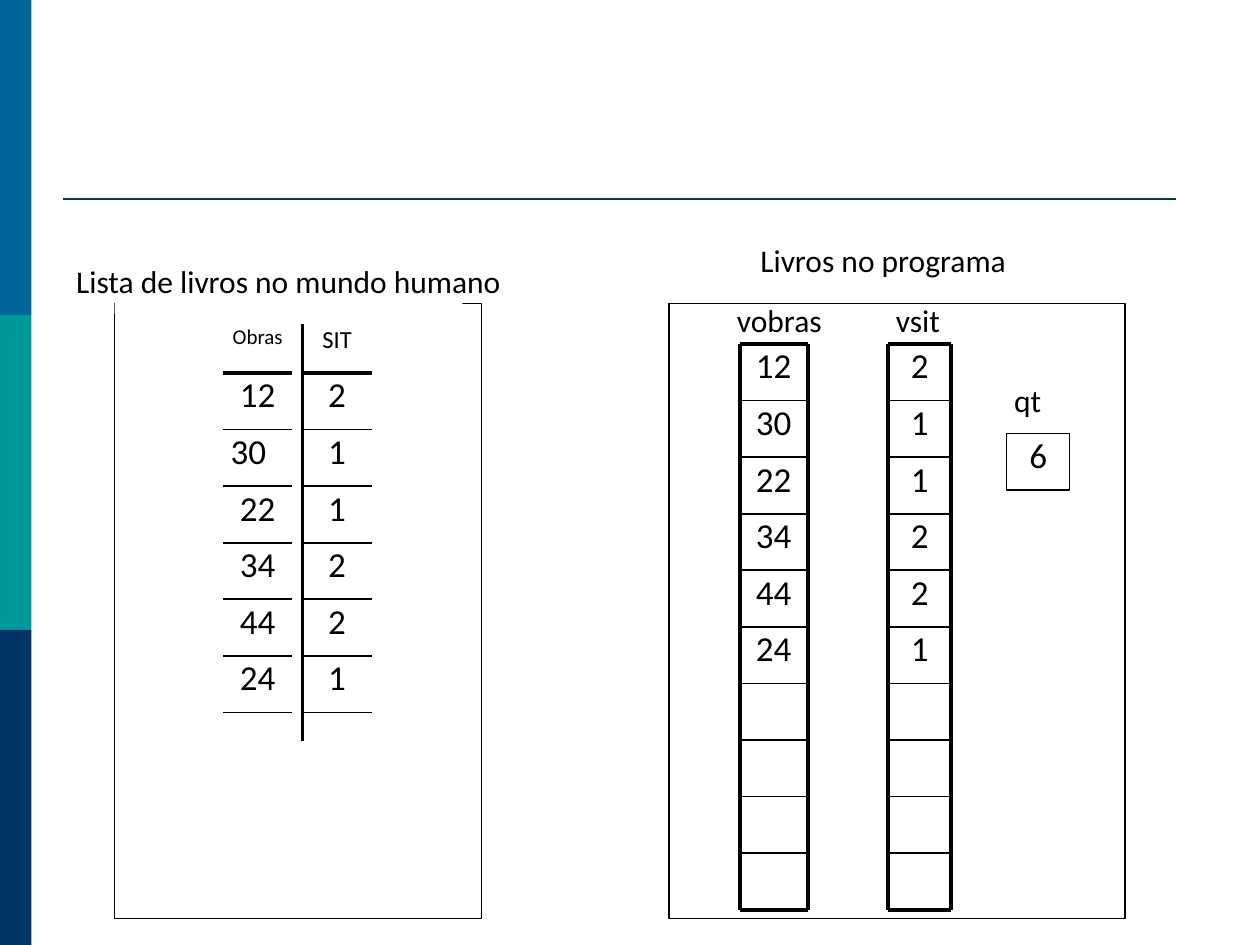
import pptx
import pptx.dml.color
import pptx.enum.shapes
import pptx.enum.text
import pptx.oxml
import pptx.util
from pptx.util import Inches

FONT = "Calibri"
BLACK, WHITE, NAVY = "000000", "FFFFFF", "003366"
ROW_HEIGHT = 0.449
WORKS = ["12", "30", "22", "34", "44", "24"]
STATUSES = ["2", "1", "1", "2", "2", "1"]
ARRAY_SLOTS = 10
THICK, THIN = 2.25, 1
ALIGN = pptx.enum.text.PP_ALIGN
ANCHOR = pptx.enum.text.MSO_ANCHOR


def color(hex_string):
    return pptx.dml.color.RGBColor.from_string(hex_string)


def add_line(slide, x1, y1, x2, y2, width, line_color=BLACK):
    connector = slide.shapes.add_connector(
        pptx.enum.shapes.MSO_CONNECTOR.STRAIGHT,
        Inches(x1), Inches(y1), Inches(x2), Inches(y2))
    connector.line.color.rgb = color(line_color)
    connector.line.width = pptx.util.Pt(width)
    connector._element.spPr.append(pptx.oxml.parse_xml(
        '<a:effectLst xmlns:a="http://schemas.openxmlformats.org/drawingml/2006/main"/>'))


def add_box(slide, left, top, width, height, fill=None, outlined=False):
    shape = slide.shapes.add_shape(
        pptx.enum.shapes.MSO_SHAPE.RECTANGLE,
        Inches(left), Inches(top), Inches(width), Inches(height))
    shape.shadow.inherit = False
    if fill:
        shape.fill.solid()
        shape.fill.fore_color.rgb = color(fill)
    else:
        shape.fill.background()
    if outlined:
        shape.line.color.rgb = color(BLACK)
        shape.line.width = pptx.util.Pt(0.75)
    else:
        shape.line.fill.background()
    return shape


def set_text(shape, text, size, wrap=True, anchor=ANCHOR.TOP):
    frame = shape.text_frame
    frame.margin_left = frame.margin_right = frame.margin_top = frame.margin_bottom = 0
    frame.word_wrap = wrap
    frame.vertical_anchor = anchor
    paragraph = frame.paragraphs[0]
    paragraph.text = text
    paragraph.alignment = ALIGN.CENTER
    paragraph.font.name = FONT
    paragraph.font.size = pptx.util.Pt(size)
    paragraph.font.color.rgb = color(BLACK)
    return paragraph


def add_text(slide, left, top, width, height, text, size=20):
    box = slide.shapes.add_textbox(Inches(left), Inches(top), Inches(width), Inches(height))
    set_text(box, text, size)
    return box


def add_label(slide, left, top, width, height, text):
    """Add a heading on a white box that may be narrower than its text."""
    box = add_box(slide, left, top, width, height, fill=WHITE)
    set_text(box, text, 18, wrap=False, anchor=ANCHOR.MIDDLE).line_spacing = 0.8


def add_column(slide, left, top, width, values):
    """Stack the values in rows ruled off from one another, and return their boxes."""
    boxes = [add_text(slide, left, top + row * ROW_HEIGHT, width, ROW_HEIGHT, value)
             for row, value in enumerate(values)]
    add_line(slide, left, top, left + width, top, THICK)
    for row in range(1, len(values) + 1):
        y = top + row * ROW_HEIGHT
        add_line(slide, left, y, left + width, y, THIN)
    return boxes


def add_array(slide, left, top, width, values):
    """Draw a closed column of slots, filled from the top."""
    add_column(slide, left, top, width, values)
    bottom = top + ARRAY_SLOTS * ROW_HEIGHT
    for slot in range(len(values) + 1, ARRAY_SLOTS):
        y = top + slot * ROW_HEIGHT
        add_line(slide, left, y, left + width, y, THIN)
    add_line(slide, left, bottom, left + width, bottom, THICK)
    for x in (left, left + width):
        add_line(slide, x, top, x, bottom, THICK)


def add_side_bands(slide, left, top, width, height):
    bands = ["006699", "009999", NAVY]
    band_height = height / len(bands)
    for index, fill in enumerate(bands):
        add_box(slide, left, top + index * band_height, width, band_height, fill)


def add_program_panel(slide, left, top, width, height):
    add_box(slide, left, top, width, height, WHITE, outlined=True)
    add_array(slide, left + 0.56, top + 0.32, 0.54, WORKS)
    add_array(slide, left + 1.74, top + 0.32, 0.5, STATUSES)
    add_label(slide, left + 0.32, top - 0.55, 2.76, 0.47, "Livros no programa")
    add_label(slide, left + 0.4, top + 0.08, 0.95, 0.16, "vobras")
    add_label(slide, left + 1.5, top + 0.08, 0.95, 0.16, "vsit")
    counter = add_box(slide, left + 2.68, top + 1.03, 0.5, 0.45, outlined=True)
    set_text(counter, "6", 20)
    add_label(slide, left + 2.37, top + 0.71, 0.95, 0.16, "qt")


def add_human_panel(slide, left, top, width, height):
    add_box(slide, left, top, width, height, WHITE, outlined=True)
    columns = [(left + 0.86, "Obras", 12, WORKS), (left + 1.49, "SIT", 14, STATUSES)]
    column_boxes = []
    for x, heading, size, values in columns:
        add_text(slide, x, top + 0.16, 0.55, 0.29, heading, size)
        column_boxes.append(add_column(slide, x, top + 0.55, 0.55, values))
    shifted_frame = column_boxes[0][1].text_frame
    shifted_frame.paragraphs[0].alignment = ALIGN.LEFT
    shifted_frame.margin_left = Inches(0.06)
    add_label(slide, left, top - 0.39, 2.76, 0.47, "Lista de livros no mundo humano")
    divider = left + 1.49
    add_line(slide, divider, top + 0.16, divider, top + 3.47, 2)


def main():
    presentation = pptx.Presentation()
    presentation.slide_width = Inches(10)
    presentation.slide_height = Inches(7.5)
    slide = presentation.slides.add_slide(presentation.slide_layouts[6])
    add_side_bands(slide, 0, 0, 0.25, 7.5)
    add_line(slide, 0.5, 1.58, 9.33, 1.58, 1.5, NAVY)
    add_program_panel(slide, 5.31, 2.41, 3.62, 4.88)
    add_human_panel(slide, 0.91, 2.41, 2.91, 4.88)
    presentation.save("out.pptx")


if __name__ == "__main__":
    main()
